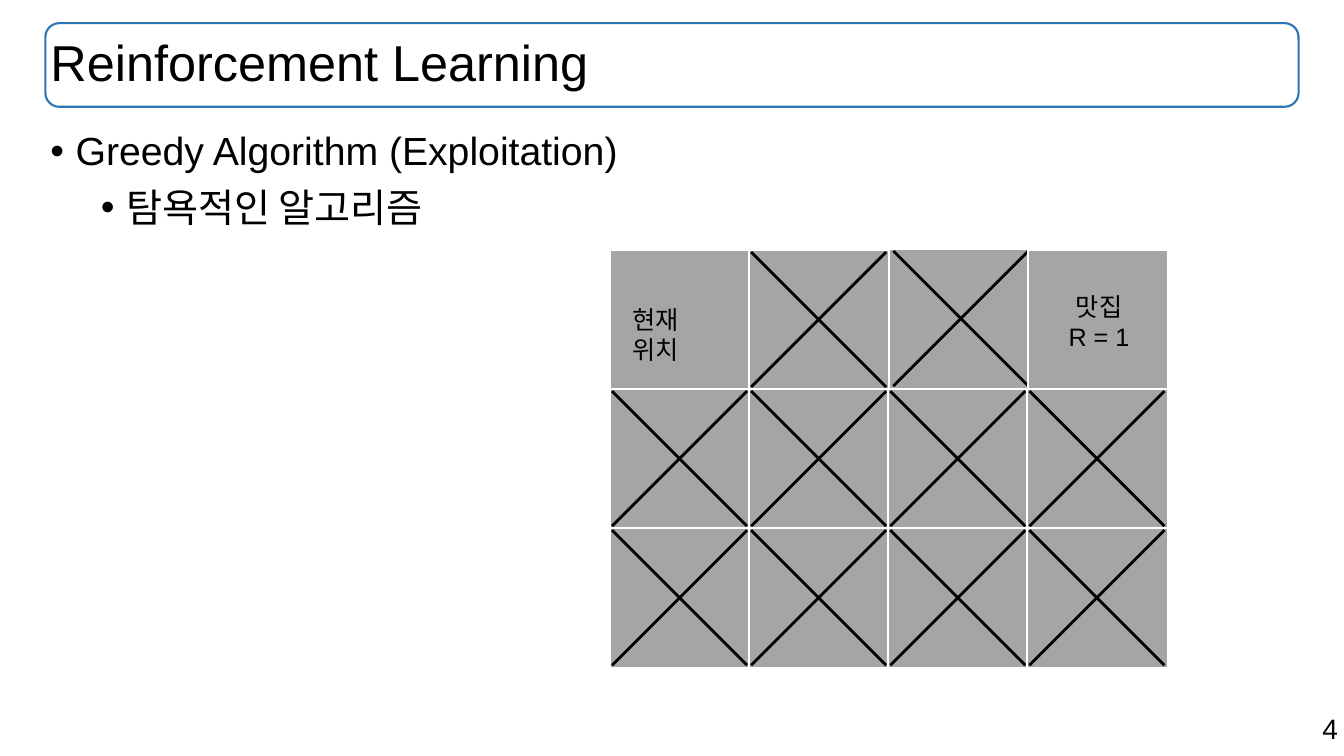
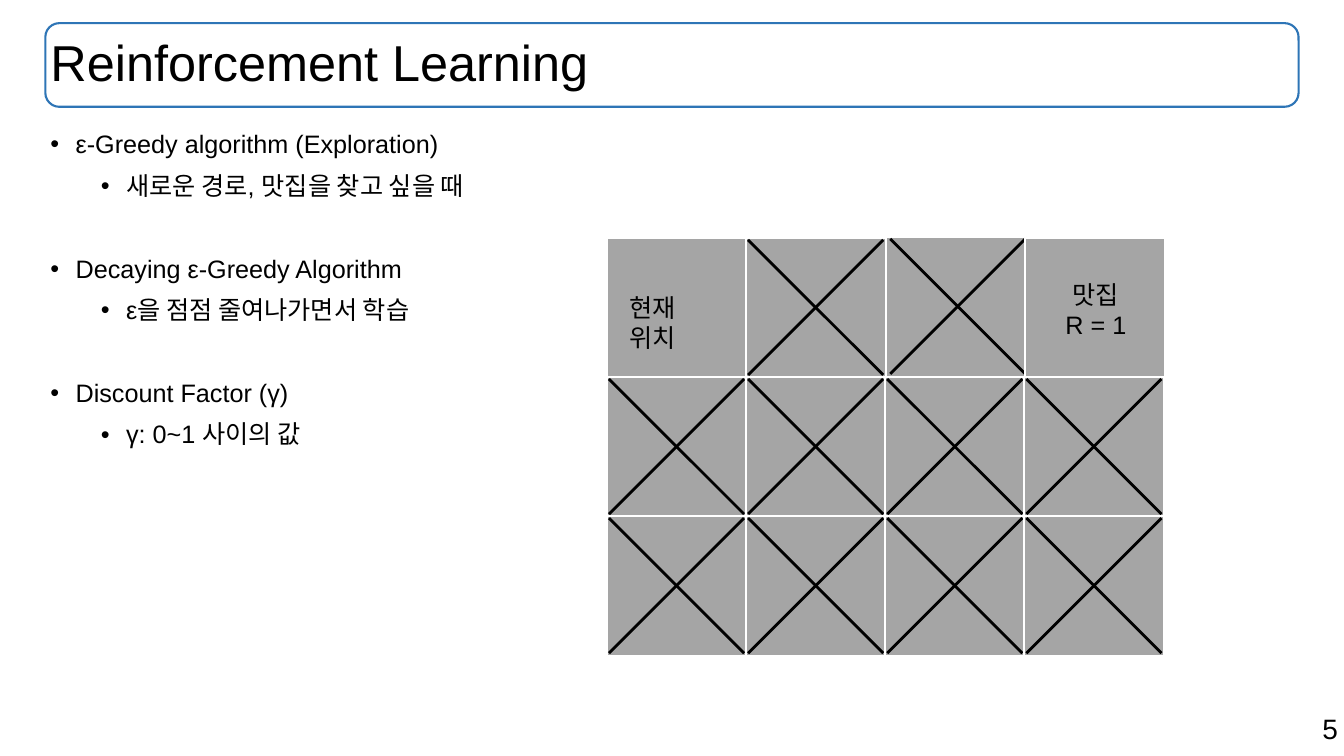
from lxml import etree
from pptx import Presentation
from pptx.dml.color import RGBColor
from pptx.enum.shapes import MSO_CONNECTOR, MSO_SHAPE
from pptx.enum.text import MSO_ANCHOR, MSO_AUTO_SIZE, PP_ALIGN
from pptx.oxml.ns import qn
from pptx.util import Inches, Pt

RECT, ROUND_RECT = MSO_SHAPE.RECTANGLE, MSO_SHAPE.ROUNDED_RECTANGLE
STRAIGHT = MSO_CONNECTOR.STRAIGHT
LEFT, CENTER, RIGHT = PP_ALIGN.LEFT, PP_ALIGN.CENTER, PP_ALIGN.RIGHT
TOP, MIDDLE = MSO_ANCHOR.TOP, MSO_ANCHOR.MIDDLE
NO_FIT = MSO_AUTO_SIZE.NONE

FONT = "Arial"
BLACK, WHITE, GRAY, BLUE = "000000", "FFFFFF", "A5A5A5", "2E75B6"

TITLE_BOX = (0.45, 0.23, 12.43, 0.83)
BODY_BOX = (0.45, 1.26, 12.43, 5.53)
PAGE_BOX = (12.92, 7.01, 0.4, 0.41)

ROWS, COLS = 3, 4
PITCH, CELL = 1.38, 1.39
CROSS_NEAR, CROSS_FAR = 0.02, 1.36
START, GOAL = (0, 0), (0, COLS - 1)
# Small shifts of single cells from the regular grid
CELL_SHIFT = {(0, 2): (0.01, -0.01), GOAL: (0.01, 0)}
CROSS_SHIFT = {(0, 2): 0.02}

GROUP_GAP = 40  # points before the second and later bullet groups
SLIDES = [
    {
        "page": 4, "size": 28, "grid": (6.05, 2.48),
        "groups": [("Greedy Algorithm (Exploitation)", "탐욕적인 알고리즘")],
    },
    {
        "page": 5, "size": 18, "grid": (6.02, 2.36),
        "groups": [
            ("ε-Greedy algorithm (Exploration)", "새로운 경로, 맛집을 찾고 싶을 때"),
            ("Decaying ε-Greedy Algorithm", "ε을 점점 줄여나가면서 학습"),
            ("Discount Factor (γ)", "γ: 0~1 사이의 값"),
        ],
    },
]


def rgb(value):
    return RGBColor.from_string(value)


def inches(values):
    return [Inches(v) for v in values]


def place(shape, box):
    shape.left, shape.top, shape.width, shape.height = inches(box)


def set_line(shape, color, width):
    shape.line.color.rgb = rgb(color)
    shape.line.width = Pt(width)


def set_frame(tf, anchor=TOP):
    tf.word_wrap = True
    tf.auto_size = NO_FIT
    tf.vertical_anchor = anchor
    tf.margin_left = tf.margin_right = Inches(0.05)
    tf.margin_top = tf.margin_bottom = Inches(0.05)


def format_runs(p, size, align=LEFT):
    p.alignment = align
    for r in p.runs:
        r.font.name = FONT
        r.font.size = Pt(size)
        r.font.color.rgb = rgb(BLACK)


def set_bullet(p, margin):
    """Give the paragraph a round bullet hanging to the left of its margin."""
    pPr = p._p.get_or_add_pPr()
    pPr.set("marL", str(Inches(margin)))
    pPr.set("indent", str(Inches(-0.25)))
    etree.SubElement(pPr, qn("a:buFont")).set("typeface", FONT)
    etree.SubElement(pPr, qn("a:buChar")).set("char", "•")


def set_up_layout(layout, slide):
    """Keep only title and body, and move a title band drawn on slide into the layout."""
    title, body, *footers = layout.placeholders
    place(title, TITLE_BOX)
    place(body, BODY_BOX)
    for footer in footers:
        layout.shapes.element.remove(footer.element)
    band = slide.shapes.add_shape(ROUND_RECT, *inches(TITLE_BOX))
    band.shadow.inherit = False
    band.fill.background()
    set_line(band, BLUE, 1.5)
    band.element.nvSpPr.cNvPr.set("id", "20")
    layout.shapes.element.insert(2, band.element)


def fill_title(slide, text):
    tf = slide.shapes.title.text_frame
    set_frame(tf, MIDDLE)
    tf.text = text
    p = tf.paragraphs[0]
    p.line_spacing = 0.9
    format_runs(p, 36)


def fill_body(slide, groups, size):
    tf = slide.placeholders[1].text_frame
    set_frame(tf)
    lines = [(text, level) for group in groups for level, text in enumerate(group)]
    for i, (text, level) in enumerate(lines):
        p = tf.add_paragraph() if i else tf.paragraphs[0]
        p.text = text
        p.level = level
        set_bullet(p, 0.25 + 0.5 * level)
        p.line_spacing = 0.9
        if i == 0:
            p.space_before = Pt(0)
        else:
            p.space_before = Pt(10 if level else GROUP_GAP)
        format_runs(p, size)


def add_text(slide, box, text, size, align=LEFT):
    tf = slide.shapes.add_textbox(*inches(box)).text_frame
    set_frame(tf)
    tf.text = text
    for p in tf.paragraphs:
        format_runs(p, size, align)


def add_cell(slide, x, y):
    sp = slide.shapes.add_shape(RECT, *inches((x, y, CELL, CELL)))
    sp.shadow.inherit = False
    sp.fill.solid()
    sp.fill.fore_color.rgb = rgb(GRAY)
    set_line(sp, WHITE, 1.5)


def add_cross(slide, x, y):
    near, far = CROSS_NEAR, CROSS_FAR
    for y1, y2 in ((far, near), (near, far)):
        ends = inches((x + near, y + y1, x + far, y + y2))
        line = slide.shapes.add_connector(STRAIGHT, *ends)
        set_line(line, BLACK, 2)
        etree.SubElement(line.element.spPr, qn("a:effectLst"))


def add_grid(slide, left, top):
    """Draw the grid world: a start cell, a goal cell and crossed cells."""
    for row in range(ROWS):
        for col in range(COLS):
            dx, dy = CELL_SHIFT.get((row, col), (0, 0))
            x, y = left + col * PITCH + dx, top + row * PITCH + dy
            add_cell(slide, x, y)
            if (row, col) == START:
                add_text(slide, (x + 0.17, y + 0.49, 0.8, 0.68), "현재 위치", 18)
            elif (row, col) == GOAL:
                add_text(slide, (x + 0.29, y + 0.36, 0.82, 0.68),
                         "맛집\nR = 1", 18, CENTER)
            else:
                add_cross(slide, x + CROSS_SHIFT.get((row, col), 0), y)


def main():
    prs = Presentation()
    prs.slide_width, prs.slide_height = inches((13.33, 7.5))
    layout = prs.slide_layouts[1]
    for i, content in enumerate(SLIDES):
        slide = prs.slides.add_slide(layout)
        if i == 0:
            set_up_layout(layout, slide)
        fill_title(slide, "Reinforcement Learning")
        fill_body(slide, content["groups"], content["size"])
        add_grid(slide, *content["grid"])
        add_text(slide, PAGE_BOX, str(content["page"]), 20, RIGHT)
    prs.save("out.pptx")


if __name__ == "__main__":
    main()
